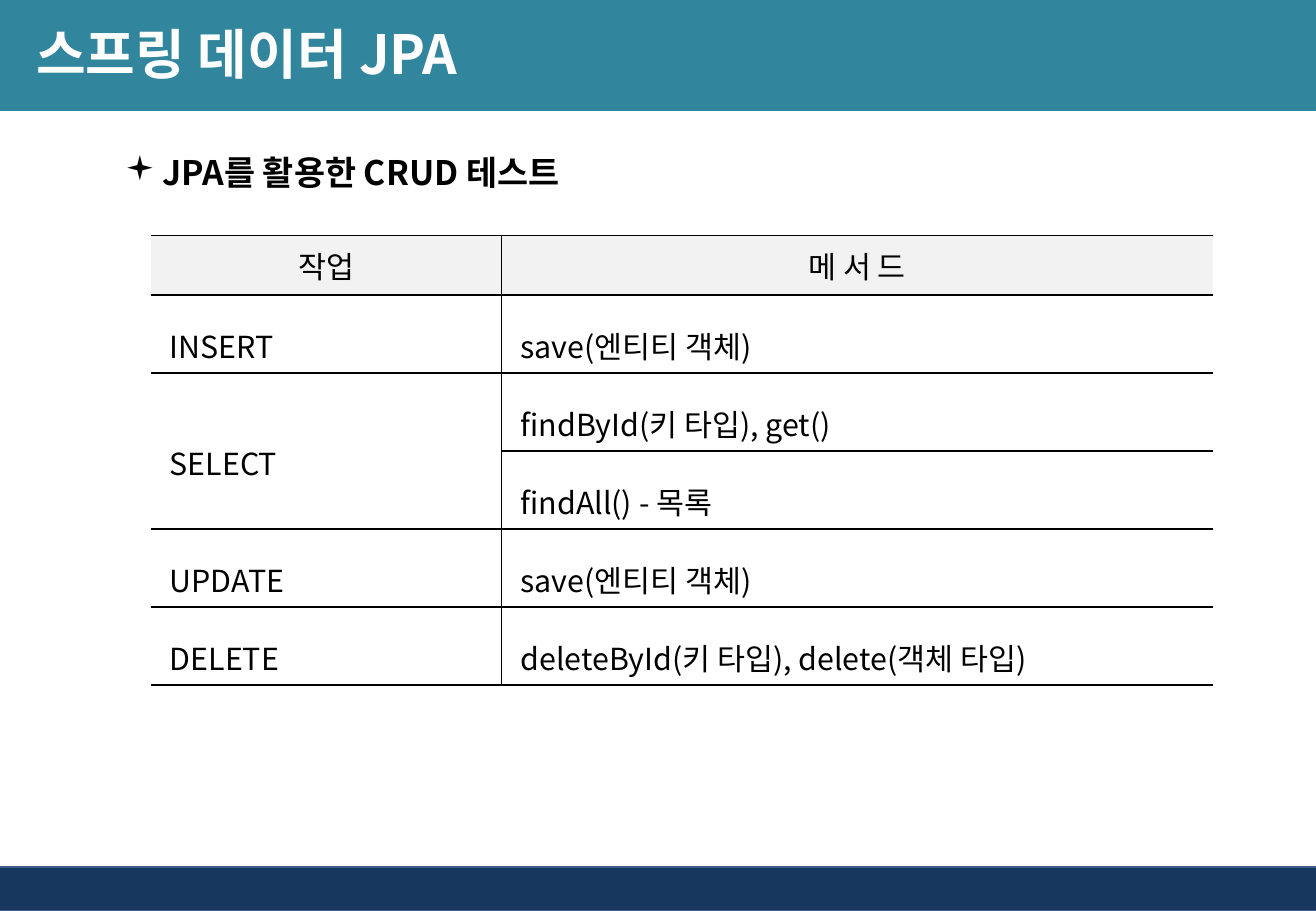
from lxml import etree
from pptx import Presentation
from pptx.dml.color import RGBColor
from pptx.enum.shapes import MSO_SHAPE
from pptx.enum.text import MSO_ANCHOR, PP_ALIGN
from pptx.oxml.ns import qn
from pptx.util import Cm, Pt

RECTANGLE = MSO_SHAPE.RECTANGLE
MIDDLE = MSO_ANCHOR.MIDDLE
LEFT, CENTER = PP_ALIGN.LEFT, PP_ALIGN.CENTER

FONT = "Noto Sans CJK KR"
TEAL = RGBColor(0x31, 0x85, 0x9C)
NAVY = RGBColor(0x17, 0x37, 0x5E)
NAVY_EDGE = RGBColor(0x3A, 0x5F, 0x8C)
LIGHT_GRAY = RGBColor(0xF2, 0xF2, 0xF2)
WHITE = RGBColor(0xFF, 0xFF, 0xFF)
BLACK = RGBColor(0, 0, 0)


def write(frame, text, size=18, bold=False, color=BLACK, align=LEFT, spacing=None):
    paragraph = frame.paragraphs[0]
    paragraph.alignment = align
    if spacing:
        paragraph.line_spacing = spacing
    run = paragraph.add_run()
    run.text = text
    run.font.size = Pt(size)
    run.font.bold = bold
    run.font.color.rgb = color
    run.font.name = FONT
    return paragraph


def add_border(cell, side, visible):
    line = etree.SubElement(cell._tc.get_or_add_tcPr(), qn(f"a:ln{side}"), w=str(Pt(1)))
    if visible:
        fill = etree.SubElement(line, qn("a:solidFill"))
        etree.SubElement(fill, qn("a:srgbClr"), val=str(BLACK))
    else:
        etree.SubElement(line, qn("a:noFill"))


prs = Presentation()
prs.slide_width, prs.slide_height = Cm(27.51), Cm(19.05)
slide = prs.slides.add_slide(prs.slide_layouts[6])

# Footer and title bands
bands = [
    (-0.1, 18.13, 27.63, 0.91, NAVY, NAVY_EDGE),
    (0, 0, 27.51, 2.32, TEAL, None),
]
for left, top, width, height, color, edge in bands:
    band = slide.shapes.add_shape(RECTANGLE, Cm(left), Cm(top), Cm(width), Cm(height))
    band.shadow.inherit = False
    band.fill.solid()
    band.fill.fore_color.rgb = color
    if edge:
        band.line.color.rgb = edge
        band.line.width = Pt(1)
    else:
        band.line.fill.background()

# Title
title = slide.shapes.add_textbox(0, Cm(-0.08), Cm(22.2), Cm(2.39)).text_frame
title.word_wrap = True
title.vertical_anchor = MIDDLE
title.margin_left = Cm(0.76)
write(title, "스프링 데이터 JPA", size=32, bold=True, color=WHITE)

# Table of methods for each operation
rows = [
    ("작업", "메 서 드"),
    ("INSERT", "save(엔티티 객체)"),
    ("SELECT", "findById(키 타입), get()"),
    ("", "findAll() - 목록"),
    ("UPDATE", "save(엔티티 객체)"),
    ("DELETE", "deleteById(키 타입), delete(객체 타입)"),
]
methods = slide.shapes.add_table(
    len(rows), 2, Cm(3.15), Cm(4.92), Cm(22.2), Cm(9.4)
).table
methods.horz_banding = False
methods.columns[0].width = Cm(7.33)
methods.columns[1].width = Cm(14.87)
methods.cell(2, 0).merge(methods.cell(3, 0))

for row, texts in enumerate(rows):
    is_header = row == 0
    methods.rows[row].height = Cm(1.25 if is_header else 1.63)
    for column, text in enumerate(texts):
        cell = methods.cell(row, column)
        cell.vertical_anchor = MIDDLE
        for side in "LRTB":
            outer = side == "LR"[column]
            add_border(cell, side, visible=not outer)
        cell.fill.solid()
        cell.fill.fore_color.rgb = LIGHT_GRAY if is_header else WHITE
        if is_header:
            write(cell.text_frame, text, align=CENTER)
        elif text:
            cell.margin_left = Cm(0.4)
            write(cell.text_frame, text, spacing=1.5)

# Topic bullet
topic = slide.shapes.add_textbox(Cm(2.36), Cm(3.05), Cm(11), Cm(1.11)).text_frame
topic.word_wrap = True
topic_line = write(topic, "JPA를 활용한 CRUD 테스트", size=20, bold=True)
topic_format = topic_line._p.get_or_add_pPr()
topic_format.set("marL", str(Cm(0.79)))
topic_format.set("indent", str(Cm(-0.79)))
etree.SubElement(topic_format, qn("a:buFont"), typeface="Wingdings")
etree.SubElement(topic_format, qn("a:buChar"), char="▪")

prs.save("out.pptx")
